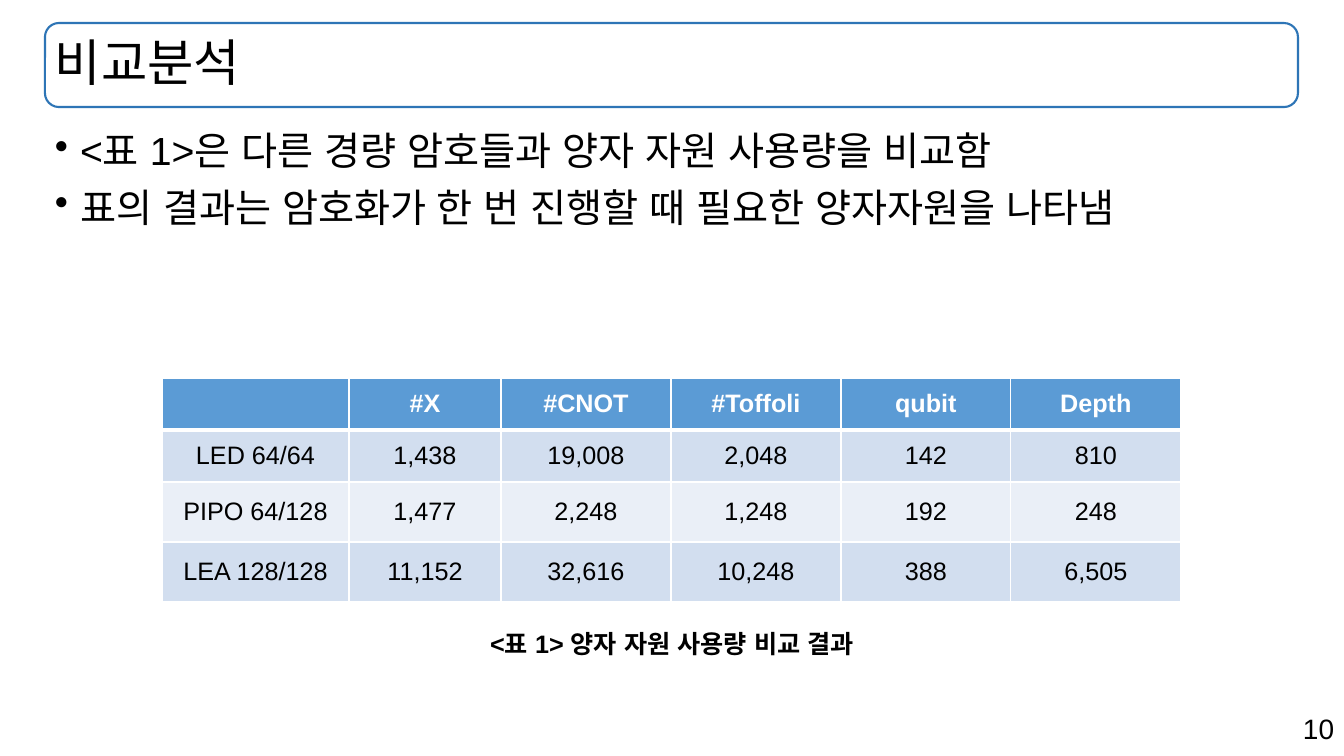
import pptx
import pptx.dml.color
import pptx.enum.lang
import pptx.enum.shapes
import pptx.enum.text
import pptx.oxml
import pptx.oxml.ns
import pptx.util

TITLE = "비교분석"
POINTS = [
    "<표 1>은 다른 경량 암호들과 양자 자원 사용량을 비교함",
    "표의 결과는 암호화가 한 번 진행할 때 필요한 양자자원을 나타냄",
]
RESOURCES = [
    ["", "#X", "#CNOT", "#Toffoli", "qubit", "Depth"],
    ["LED 64/64", "1,438", "19,008", "2,048", "142", "810"],
    ["PIPO 64/128", "1,477", "2,248", "1,248", "192", "248"],
    ["LEA 128/128", "11,152", "32,616", "10,248", "388", "6,505"],
]
CAPTION = "<표 1> 양자 자원 사용량 비교 결과"
PAGE_NUMBER = "10"

FONT = "Arial"
BLACK, WHITE = "000000", "FFFFFF"
FRAME_BLUE, HEADER_BLUE = "2E75B6", "5B9BD5"
BANDS = ["EAEFF7", "D2DEEF"]

# Places in px: left, top, width, height
TITLE_BOX = (45, 23, 1253, 84)
POINTS_BOX = (45, 127, 1253, 557)
CAPTION_BOX = (212, 623, 920, 40)
PAGE_BOX = (951, 707, 393, 44)
TABLE_LEFT, TABLE_TOP = 162, 378
COLUMN_WIDTHS = [187, 152] + [170] * 4
ROW_HEIGHTS = [52, 52, 60, 60]

ALIGN = pptx.enum.text.PP_ALIGN
ANCHOR = pptx.enum.text.MSO_ANCHOR


def px(length):
    return round(length * 914400 / 100.8)


def color(value):
    return pptx.dml.color.RGBColor.from_string(value)


def add_text(paragraph, text, size, ink=BLACK, bold=False, align=ALIGN.LEFT):
    paragraph.alignment = align
    run = paragraph.add_run()
    run.text = text
    run.font.name = FONT
    run.font.size = pptx.util.Pt(size)
    run.font.bold = bold
    run.font.color.rgb = color(ink)
    run.font.language_id = pptx.enum.lang.MSO_LANGUAGE_ID.KOREAN


def add_frame(slide, box, anchor=ANCHOR.TOP):
    """Add a wrapping text box and return its text frame."""
    frame = slide.shapes.add_textbox(*map(px, box)).text_frame
    frame.word_wrap = True
    frame.vertical_anchor = anchor
    return frame


def add_bullet(paragraph):
    properties = paragraph._p.get_or_add_pPr()
    properties.set("marL", str(pptx.util.Inches(0.25)))
    properties.set("indent", str(-pptx.util.Inches(0.25)))
    bullet = pptx.oxml.parse_xml(
        f'<a:buChar {pptx.oxml.ns.nsdecls("a")} char="•"/>')
    properties.append(bullet)


def add_borders(cell, top, bottom):
    """Draw white edges; top and bottom are widths in points."""
    properties = cell._tc.get_or_add_tcPr()
    for side, width in (("L", 1), ("R", 1), ("T", top), ("B", bottom)):
        properties.append(pptx.oxml.parse_xml(
            f'<a:ln{side} {pptx.oxml.ns.nsdecls("a")} w="{pptx.util.Pt(width)}">'
            f'<a:solidFill><a:srgbClr val="{WHITE}"/></a:solidFill></a:ln{side}>'))


def add_title(slide):
    frame = slide.shapes.add_shape(
        pptx.enum.shapes.MSO_SHAPE.ROUNDED_RECTANGLE, *map(px, TITLE_BOX))
    frame.shadow.inherit = False
    frame.fill.background()
    frame.line.color.rgb = color(FRAME_BLUE)
    frame.line.width = pptx.util.Pt(1.5)
    paragraph = add_frame(slide, TITLE_BOX, ANCHOR.MIDDLE).paragraphs[0]
    paragraph.line_spacing = 0.9
    add_text(paragraph, TITLE, 36)


def add_points(slide):
    frame = add_frame(slide, POINTS_BOX)
    for index, point in enumerate(POINTS):
        paragraph = frame.add_paragraph() if index else frame.paragraphs[0]
        add_bullet(paragraph)
        paragraph.line_spacing = 0.9
        paragraph.space_before = pptx.util.Pt(10 if index else 0)
        add_text(paragraph, point, 28)


def add_resources(slide):
    table = slide.shapes.add_table(
        len(RESOURCES), len(COLUMN_WIDTHS), px(TABLE_LEFT), px(TABLE_TOP),
        px(sum(COLUMN_WIDTHS)), px(sum(ROW_HEIGHTS))).table
    for column, width in zip(table.columns, COLUMN_WIDTHS):
        column.width = px(width)
    for r, values in enumerate(RESOURCES):
        table.rows[r].height = px(ROW_HEIGHTS[r])
        header = r == 0
        for c, value in enumerate(values):
            cell = table.cell(r, c)
            add_borders(cell, 3 if r == 1 else 1, 3 if header else 1)
            cell.fill.solid()
            cell.fill.fore_color.rgb = color(HEADER_BLUE if header else BANDS[r % 2])
            cell.vertical_anchor = ANCHOR.MIDDLE
            if value:
                add_text(cell.text_frame.paragraphs[0], value, 18,
                         WHITE if header else BLACK, header, ALIGN.CENTER)


def main():
    deck = pptx.Presentation()
    deck.slide_width, deck.slide_height = px(1344), px(756)
    slide = deck.slides.add_slide(deck.slide_layouts[6])
    add_text(add_frame(slide, PAGE_BOX).paragraphs[0], PAGE_NUMBER, 20,
             align=ALIGN.RIGHT)
    add_title(slide)
    add_points(slide)
    add_resources(slide)
    add_text(add_frame(slide, CAPTION_BOX).paragraphs[0], CAPTION, 18,
             bold=True, align=ALIGN.CENTER)
    deck.save("out.pptx")


if __name__ == "__main__":
    main()
